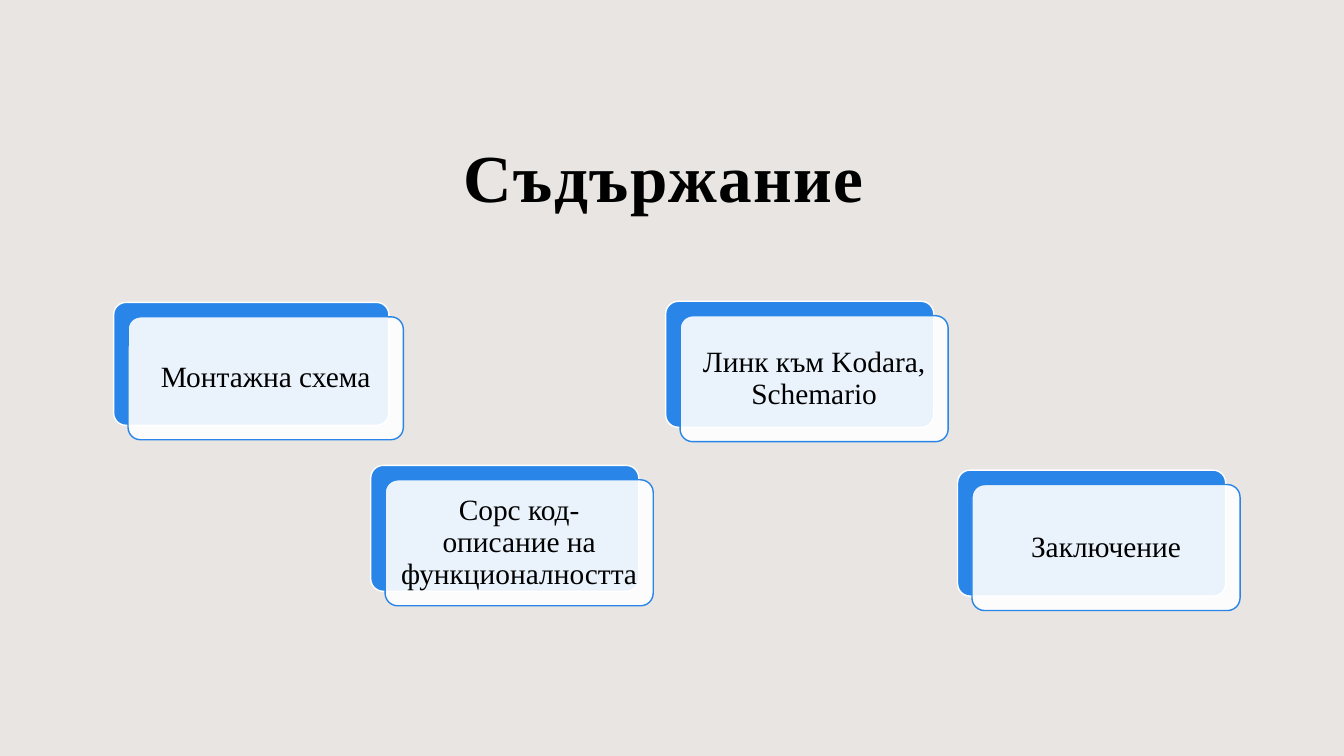
from pptx import Presentation
from pptx.dml.color import RGBColor
from pptx.enum.shapes import MSO_SHAPE
from pptx.enum.text import MSO_ANCHOR, PP_ALIGN
from pptx.oxml.ns import qn
from pptx.util import Pt
from lxml import etree

ROUNDED = MSO_SHAPE.ROUNDED_RECTANGLE
MIDDLE = MSO_ANCHOR.MIDDLE
CENTER = PP_ALIGN.CENTER
FONT = "Times New Roman"
COLORS = {"background": "E8E5E2", "blue": "2985E7", "white": "FFFFFF", "black": "000000"}
CARD_OFFSET = 10.3
CARD_INSET = 6.5

# left, top, width, height, label
TOPICS = [
    (81.2, 216, 196.6, 87.8, "Монтажна схема"),
    (264.8, 332.4, 191.5, 90, "Сорс код- описание на функционалността"),
    (475.5, 215.2, 191.5, 90, "Линк към Kodara, Schemario"),
    (684, 335.8, 191.5, 90, "Заключение"),
]


def add_card(left, top, width, height, fill, line):
    card = page.shapes.add_shape(ROUNDED, Pt(left), Pt(top), Pt(width), Pt(height))
    card.adjustments[0] = 0.1
    card.shadow.inherit = False
    card.fill.solid()
    card.fill.fore_color.rgb = RGBColor.from_string(COLORS[fill])
    card.line.color.rgb = RGBColor.from_string(COLORS[line])
    card.line.width = Pt(1)
    return card


def write_text(frame, text, size):
    """Fill a frame with one centred black paragraph and return it."""
    frame.word_wrap = True
    frame.vertical_anchor = MIDDLE
    para = frame.paragraphs[0]
    para.text = text
    para.alignment = CENTER
    para.font.name = FONT
    para.font.size = Pt(size)
    para.font.color.rgb = RGBColor.from_string(COLORS["black"])
    return para


deck = Presentation()
deck.slide_width = Pt(960)
deck.slide_height = Pt(540)
page = deck.slides.add_slide(deck.slide_layouts[6])
page.background.fill.solid()
page.background.fill.fore_color.rgb = RGBColor.from_string(COLORS["background"])

title_box = page.shapes.add_textbox(Pt(80.6), Pt(57.6), Pt(787.7), Pt(136))
title = write_text(title_box.text_frame, "Съдържание", 48)
title.font.bold = True
title.runs[0].font._element.set("spc", "100")

for left, top, width, height, label in TOPICS:
    add_card(left, top, width, height, "blue", "white")
    front = add_card(left + CARD_OFFSET, top + CARD_OFFSET, width, height, "white", "blue")
    white = front._element.spPr.find(qn("a:solidFill")).find(qn("a:srgbClr"))
    etree.SubElement(white, qn("a:alpha")).set("val", "90000")
    frame = front.text_frame
    frame.margin_left = frame.margin_right = Pt(CARD_INSET)
    frame.margin_top = frame.margin_bottom = Pt(CARD_INSET)
    write_text(frame, label, 21).line_spacing = 0.9

deck.save("out.pptx")
